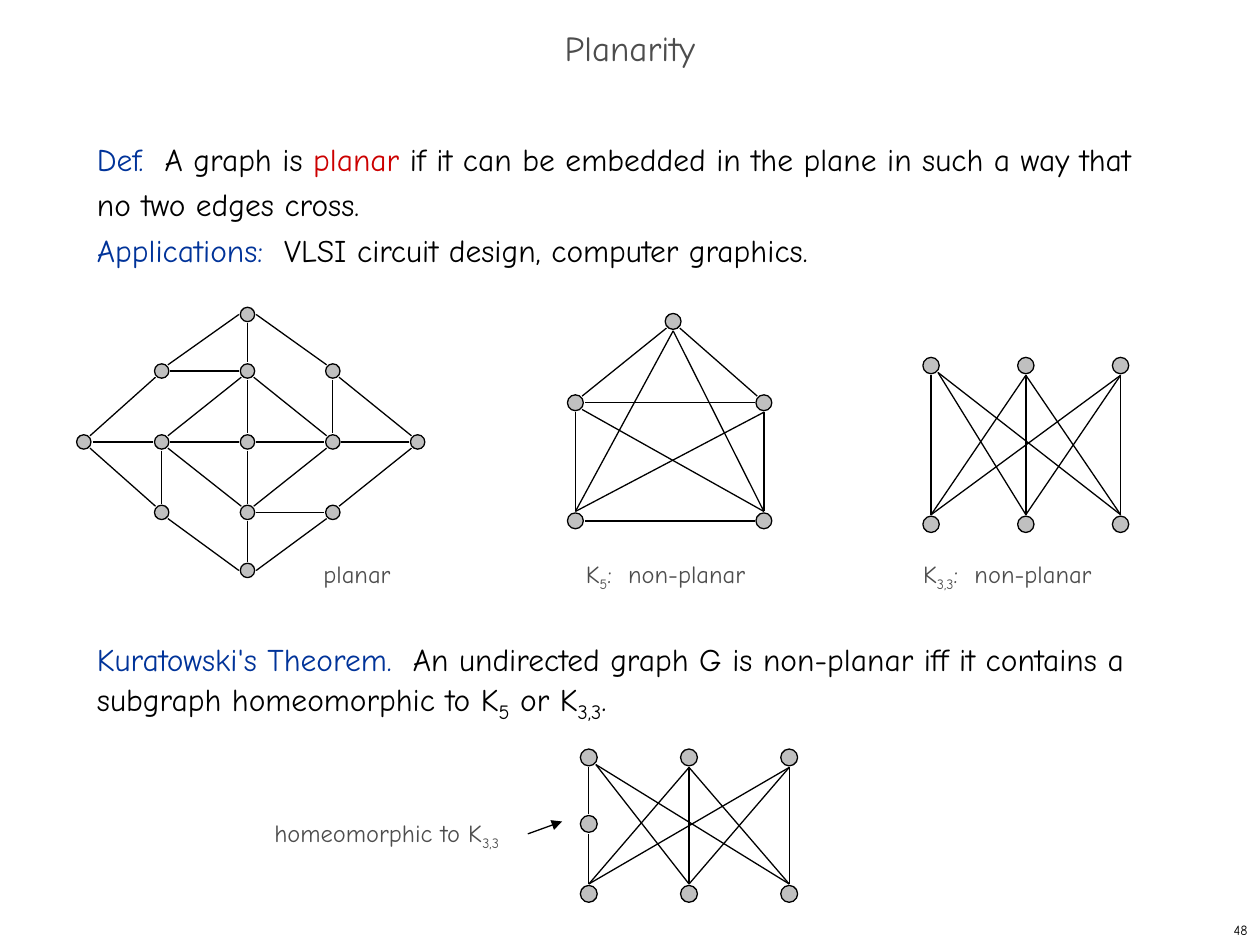
from dataclasses import dataclass
from itertools import product

from lxml.etree import SubElement as Sub
from pptx import Presentation
from pptx.dml.color import RGBColor as Rgb
from pptx.enum.shapes import MSO_CONNECTOR as Link, MSO_SHAPE as Shape
from pptx.enum.text import MSO_ANCHOR as Anchor, MSO_AUTO_SIZE as Fit, PP_ALIGN as Align
from pptx.oxml.ns import qn
from pptx.util import Cm, Pt


@dataclass(frozen=True)
class Theme:
    font: str = "Comic Neue"
    ink: str = "000000"
    blue: str = "003399"
    red: str = "CC0000"
    gray: str = "4D4D4D"
    node: str = "C0C0C0"
    head: int = 20
    body: int = 18
    low: int = 20
    note: int = 14
    page: int = 8
    line: float = 0.75


T = Theme()
GAP = 0.03
PORTS = {
    "n": (0, -1), "s": (0, 1), "e": (1, 0), "w": (-1, 0),
    "ne": (0.71, -0.71), "nw": (-0.71, -0.71),
    "se": (0.71, 0.71), "sw": (-0.71, 0.71),
}
MESH = [
    "a2e b2w", "b2e c2w", "c2e d2w", "d2e e2w", "c3e d3w", "b1e c1w",
    "c0s c1n", "c3s c4n", "b1ne c0w", "b1sw a2ne", "a2se b3nw", "b3se c4w",
    "c0e d1nw", "d1se e2nw", "d3ne e2sw", "c4e d3sw", "c1se d2nw", "c3ne d2sw",
    "b2ne c1sw", "b2se c3nw", "b2s b3n", "d1s d2n", "c1s c2n", "c2s c3n",
]
FIVE = [
    "c2n b0s", "a2n c1s", "c2n a1se", "a2n b0s", "a1s a2n",
    "c2n c1s", "c1nw b0se", "a1e c1w", "a1ne b0sw", "a2e c2w",
]
CROSS = [
    f"{top}0{'se' if top == 'a' != end else 's'} {end}2n"
    for top, end in product("abc", repeat=2)
]
SPLIT = ["a0s a1n", "a1s a2n"] + CROSS[1:]


def write(para, text, size=T.note, color=T.gray, low=None):
    for i, part in enumerate(text.split("_")):
        if not part:
            continue
        run = para.add_run()
        run.text = part
        font = run.font
        font.name = T.font
        font.size = Pt(low if low and i % 2 else size)
        font.color.rgb = Rgb.from_string(color)
        if i % 2:
            run._r.get_or_add_rPr().set("baseline", "-25000")


def place(shape, box):
    shape.left, shape.top, shape.width, shape.height = map(Cm, box)


def title(slide, box):
    shape = slide.shapes.title
    place(shape, box)
    frame = shape.text_frame
    frame.auto_size = Fit.NONE
    frame.vertical_anchor = Anchor.MIDDLE
    para = frame.paragraphs[0]
    para.alignment = Align.CENTER
    para.line_spacing = 0.7
    write(para, "Planarity", size=T.head)


def body(slide, box):
    shape = slide.placeholders[1]
    place(shape, box)
    frame = shape.text_frame
    frame.auto_size = Fit.NONE
    rows = [
        (0, [("Def.  ", T.blue), ("A graph is ", T.ink), ("planar", T.red),
             (" if it can be embedded in the plane in such a way that no two edges cross.", T.ink)]),
        (0, [("Applications:  ", T.blue), ("VLSI circuit design, computer graphics.", T.ink)]),
        (208, [("Kuratowski's Theorem.  ", T.blue),
               ("An undirected graph G is non-planar iff it contains a subgraph "
                "homeomorphic to K_5_ or K_3,3_.", T.ink)]),
    ]
    for i, (space, runs) in enumerate(rows):
        para = frame.add_paragraph() if i else frame.paragraphs[0]
        props = para._p.get_or_add_pPr()
        props.set("marL", "0")
        props.set("indent", "0")
        Sub(props, qn("a:buNone"))
        para.line_spacing = Pt(26)
        para.space_before = Pt(space)
        for text, color in runs:
            write(para, text, size=T.body, color=color, low=T.low)


def label(slide, box, text, align=Align.LEFT, anchor=Anchor.TOP, **form):
    frame = slide.shapes.add_textbox(*map(Cm, box)).text_frame
    frame.word_wrap = True
    frame.vertical_anchor = anchor
    para = frame.paragraphs[0]
    para.alignment = align
    write(para, text, **form)


def stroke(shapes, start, end, arrow=False):
    link = shapes.add_connector(Link.STRAIGHT, *map(Cm, (*start, *end)))
    link.line.color.rgb = Rgb.from_string(T.ink)
    link.line.width = Pt(T.line)
    props = link._element.spPr
    if arrow:
        Sub(props.find(qn("a:ln")), qn("a:tailEnd"), type="triangle")
    Sub(props, qn("a:effectLst"))


def graph(slide, box, cols, rows, edges, size):
    left, top = box
    shapes = slide.shapes.add_group_shape().shapes

    def spot(name):
        return left + cols["abcde".index(name[0])], top + rows[int(name[1])]

    def port(name):
        x, y = spot(name)
        dx, dy = PORTS[name[2:]]
        reach = size / 2 + GAP
        return x + dx * reach, y + dy * reach

    ends = [edge.split() for edge in edges]
    for start, end in ends:
        stroke(shapes, port(start), port(end))
    for name in sorted({end[:2] for pair in ends for end in pair}):
        x, y = spot(name)
        dot = shapes.add_shape(Shape.OVAL, *map(Cm, (x - size / 2, y - size / 2, size, size)))
        dot.shadow.inherit = False
        dot.fill.solid()
        dot.fill.fore_color.rgb = Rgb.from_string(T.node)
        dot.line.color.rgb = Rgb.from_string(T.ink)
        dot.line.width = Pt(T.line)


def main():
    deck = Presentation()
    deck.slide_width, deck.slide_height = Cm(25.4), Cm(19.05)
    slide = deck.slides.add_slide(deck.slide_layouts[1])
    label(slide, (20.12, 18.42, 5.28, 0.64), "48", align=Align.RIGHT,
          anchor=Anchor.MIDDLE, size=T.page, color=T.ink)
    body(slide, (1.7, 2.54, 21.79, 15.04))
    title(slide, (0, 0.43, 25.4, 1.27))
    graph(slide, (1.69, 6.34), (0, 1.57, 3.3, 5.02, 6.73),
          (0, 1.14, 2.57, 3.99, 5.16), MESH, 0.29)
    graph(slide, (11.6, 6.48), (0, 1.97, 3.8), (0, 1.64, 4.02), FIVE, 0.32)
    graph(slide, (18.77, 7.37), (0, 1.91, 3.82), (0, 1.6, 3.2), CROSS, 0.33)
    graph(slide, (11.87, 15.27), (0, 2.02, 4.04), (0, 1.34, 2.75), SPLIT, 0.34)
    label(slide, (6.27, 11.15, 4.27, 0.84), "planar")
    label(slide, (11.56, 11.15, 5.41, 0.94), "K_5_:  non-planar")
    label(slide, (18.36, 11.15, 6.12, 0.94), "K_3,3_:  non-planar")
    label(slide, (5.28, 16.36, 5.64, 0.94), "homeomorphic to K_3,3")
    stroke(slide.shapes, (10.64, 16.81), (11.33, 16.56), arrow=True)
    deck.save("out.pptx")


if __name__ == "__main__":
    main()
